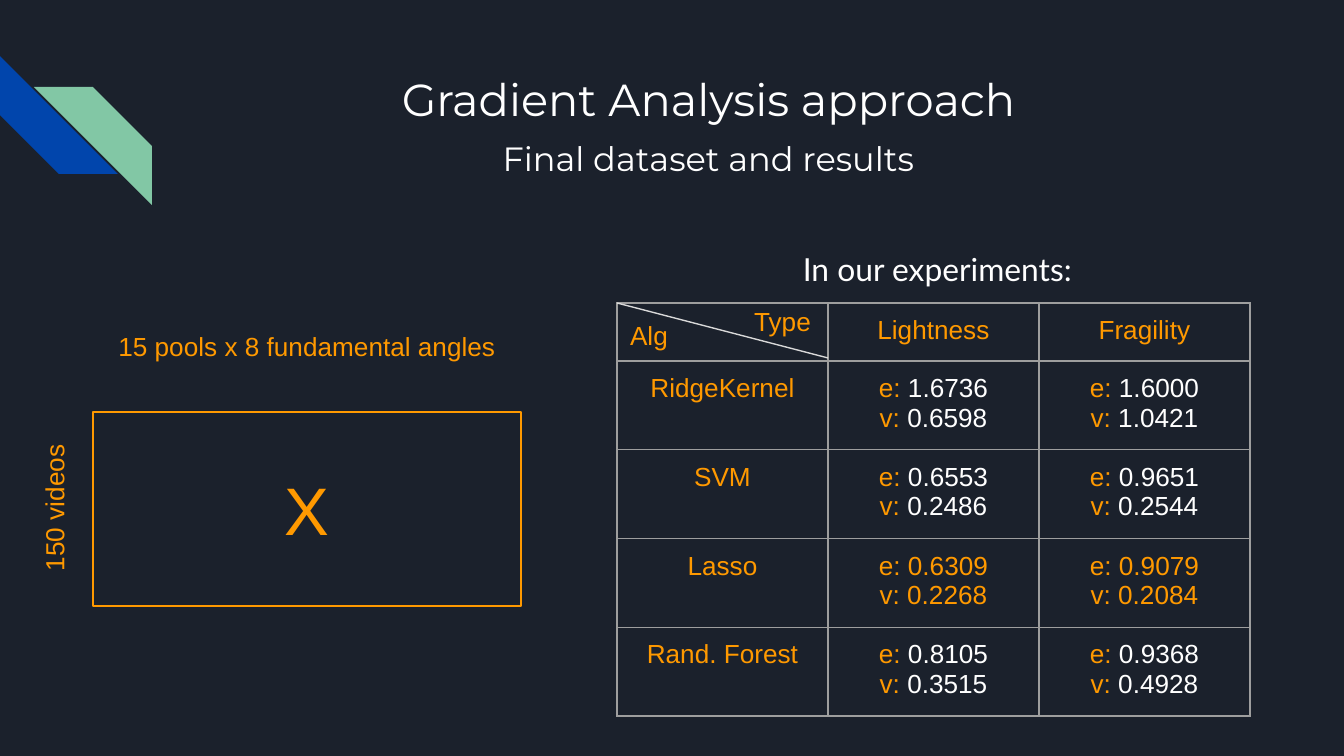
from lxml.etree import SubElement
from pptx import Presentation
from pptx.dml.color import RGBColor
from pptx.enum.shapes import MSO_CONNECTOR, MSO_SHAPE
from pptx.enum.text import MSO_ANCHOR, PP_ALIGN
from pptx.oxml.ns import qn
from pptx.util import Pt

ORANGE, WHITE, GREY = "FF9900", "FFFFFF", "9E9E9E"
TITLE = [
    [("Gradient Analysis approach", 24, "Montserrat", WHITE)],
    [("Final dataset and results", 18, "Montserrat", WHITE)],
]
HEADERS = ["", "Lightness", "Fragility"]
RESULTS = [
    ("RidgeKernel", [("1.6736", "0.6598"), ("1.6000", "1.0421")], WHITE),
    ("SVM", [("0.6553", "0.2486"), ("0.9651", "0.2544")], WHITE),
    ("Lasso", [("0.6309", "0.2268"), ("0.9079", "0.2084")], ORANGE),
    ("Rand. Forest", [("0.8105", "0.3515"), ("0.9368", "0.4928")], WHITE),
]
STRIPES = [
    ((0, 56, 118, 118), "0145AC", 270, False),
    ((34, 87, 118, 118), "82C7A5", 0, True),
]
LABELS = [
    ((617, 237, 641, 73), "In our experiments:", 17, "Lato", WHITE, MSO_ANCHOR.TOP, PP_ALIGN.CENTER, 0),
    ((-43, 484, 194, 48), "150 videos", 14, "Arial", ORANGE, MSO_ANCHOR.MIDDLE, PP_ALIGN.CENTER, 270),
    ((93, 306, 428, 81), "15 pools x 8 fundamental angles", 14, "Arial", ORANGE,
     MSO_ANCHOR.MIDDLE, PP_ALIGN.CENTER, 0),
    ((617, 316, 70, 39), "Alg", 14, "Arial", ORANGE, MSO_ANCHOR.MIDDLE, PP_ALIGN.LEFT, 0),
    ((726, 302, 113, 39), "Type", 14, "Arial", ORANGE, MSO_ANCHOR.MIDDLE, PP_ALIGN.CENTER, 0),
]
MATRIX = (93, 412, 428, 194)
TABLE_LEFT, TABLE_TOP, COLUMN_WIDTH = 617, 303, 211
HEADER_HEIGHT, ROW_HEIGHT, INSET = 58, 85, 13


def px(value):
    return round(value * 914400 / 134.4)


def place(box):
    return [px(value) for value in box]


def color(value):
    return RGBColor.from_string(value)


def write(frame, paragraphs, align=PP_ALIGN.CENTER, gap=0):
    for index, runs in enumerate(paragraphs):
        para = frame.paragraphs[0] if index == 0 else frame.add_paragraph()
        para.alignment = align
        if index and gap:
            para.space_before = Pt(gap)
        for text, size, font, ink in runs:
            span = para.add_run()
            span.text = text
            span.font.size = Pt(size)
            span.font.name = font
            span.font.color.rgb = color(ink)


def set_frame(frame, anchor):
    frame.word_wrap = True
    frame.vertical_anchor = anchor
    frame.margin_left = frame.margin_right = px(INSET)
    frame.margin_top = frame.margin_bottom = px(INSET)


def add_text(page, box, paragraphs, anchor=MSO_ANCHOR.MIDDLE, align=PP_ALIGN.CENTER, turn=0, gap=0):
    shape = page.shapes.add_textbox(*place(box))
    shape.rotation = turn
    set_frame(shape.text_frame, anchor)
    write(shape.text_frame, paragraphs, align, gap)


def style_cell(cell):
    cell.fill.background()
    properties = cell._tc.get_or_add_tcPr()
    for index, side in enumerate(("a:lnL", "a:lnR", "a:lnT", "a:lnB")):
        line = properties.makeelement(qn(side), {"w": str(Pt(0.75))})
        properties.insert(index, line)
        fill = SubElement(line, qn("a:solidFill"))
        SubElement(fill, qn("a:srgbClr"), val=GREY)


def add_results(page):
    rows = [[[[(text, 14, "Arial", ORANGE)]] if text else [] for text in HEADERS]]
    for name, scores, ink in RESULTS:
        row = [[[(name, 14, "Arial", ORANGE)]]]
        for pair in scores:
            row.append([
                [(mark, 14, "Arial", ORANGE), (score, 14, "Arial", ink)]
                for mark, score in zip(("e: ", "v: "), pair)
            ])
        rows.append(row)
    width = COLUMN_WIDTH * len(HEADERS)
    height = HEADER_HEIGHT + ROW_HEIGHT * len(RESULTS)
    box = place((TABLE_LEFT, TABLE_TOP, width, height))
    table = page.shapes.add_table(len(rows), len(HEADERS), *box).table
    table.first_row = table.horz_banding = False
    for column in table.columns:
        column.width = px(COLUMN_WIDTH)
    for index, row in enumerate(rows):
        table.rows[index].height = px(ROW_HEIGHT if index else HEADER_HEIGHT)
        for number, paragraphs in enumerate(row):
            cell = table.cell(index, number)
            inset = px(INSET) if paragraphs else 0
            cell.margin_left = cell.margin_right = inset
            cell.margin_top = cell.margin_bottom = inset
            write(cell.text_frame, paragraphs)
            style_cell(cell)
    corner = place((TABLE_LEFT, TABLE_TOP, TABLE_LEFT + COLUMN_WIDTH, TABLE_TOP + 55))
    diagonal = page.shapes.add_connector(MSO_CONNECTOR.STRAIGHT, *corner)
    diagonal.line.color.rgb = color("D9D9D9")
    diagonal.line.width = Pt(0.75)
    SubElement(diagonal._element.spPr, qn("a:effectLst"))


def main():
    deck = Presentation()
    deck.slide_width, deck.slide_height = px(1344), px(756)
    page = deck.slides.add_slide(deck.slide_layouts[6])
    page.background.fill.solid()
    page.background.fill.fore_color.rgb = color("1B212C")

    for box, ink, turn, flipped in STRIPES:
        stripe = page.shapes.add_shape(MSO_SHAPE.DIAGONAL_STRIPE, *place(box))
        stripe.shadow.inherit = False
        stripe.fill.solid()
        stripe.fill.fore_color.rgb = color(ink)
        stripe.line.fill.background()
        stripe.rotation = turn
        if flipped:
            stripe._element.spPr.find(qn("a:xfrm")).set("flipH", "1")

    add_text(page, (191, 58, 1035, 134), TITLE, gap=7)

    matrix = page.shapes.add_shape(MSO_SHAPE.RECTANGLE, *place(MATRIX))
    matrix.shadow.inherit = False
    matrix.fill.background()
    matrix.line.color.rgb = color(ORANGE)
    matrix.line.width = Pt(0.75)
    set_frame(matrix.text_frame, MSO_ANCHOR.MIDDLE)
    write(matrix.text_frame, [[("X", 36, "Arial", ORANGE)]])

    add_results(page)
    for box, text, size, font, ink, anchor, align, turn in LABELS:
        add_text(page, box, [[(text, size, font, ink)]], anchor, align, turn)
    deck.save("out.pptx")


if __name__ == "__main__":
    main()
